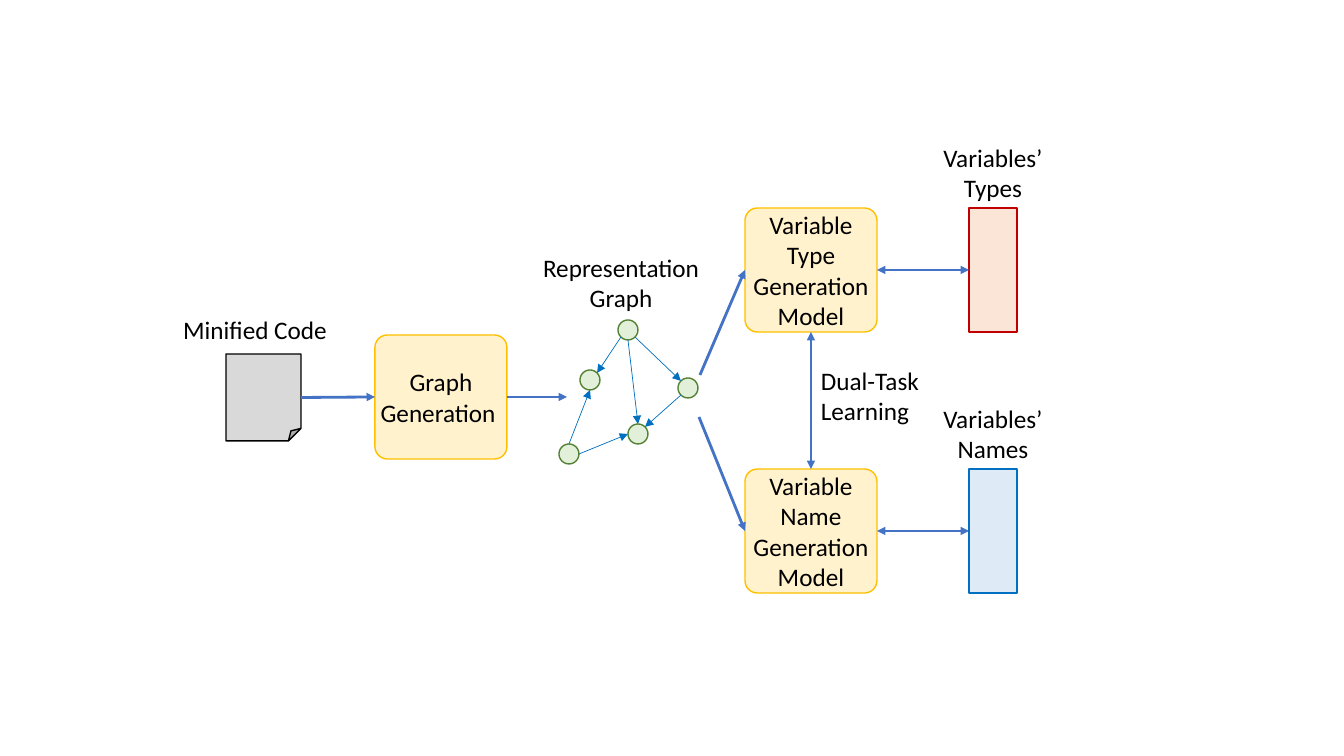
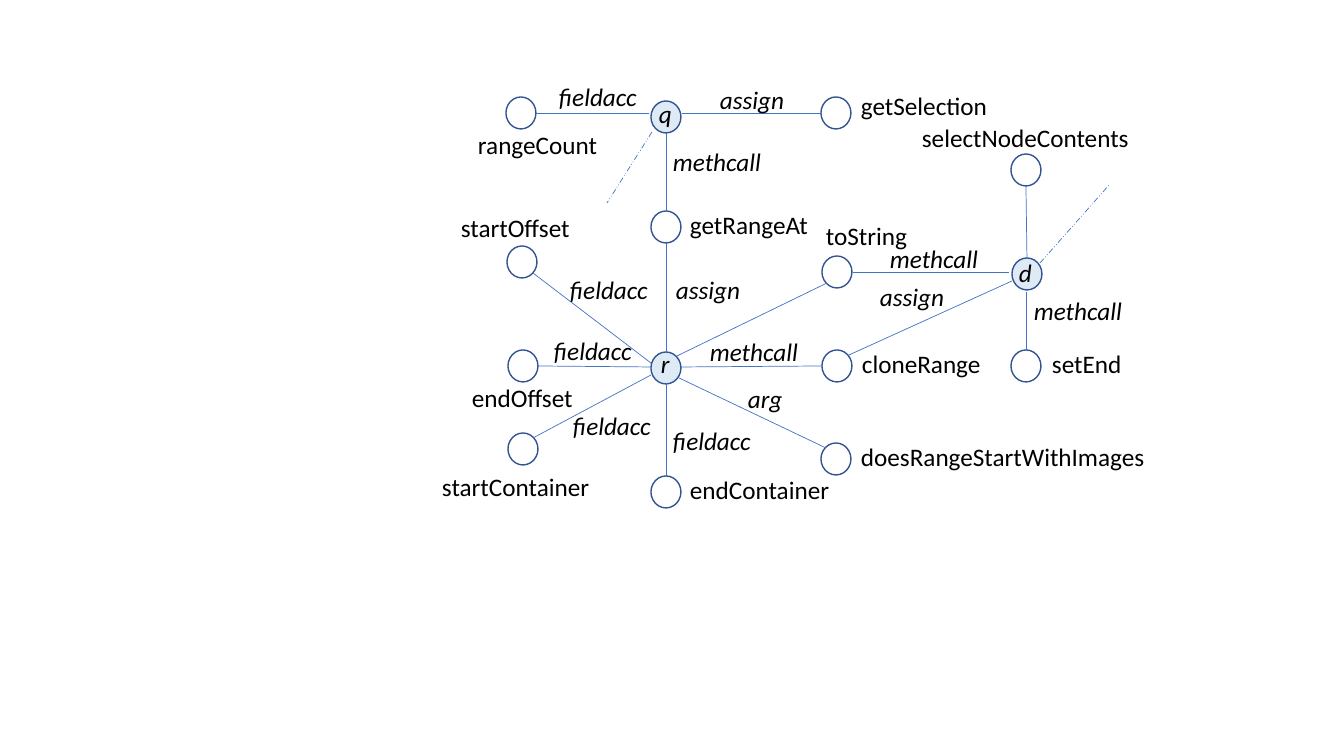
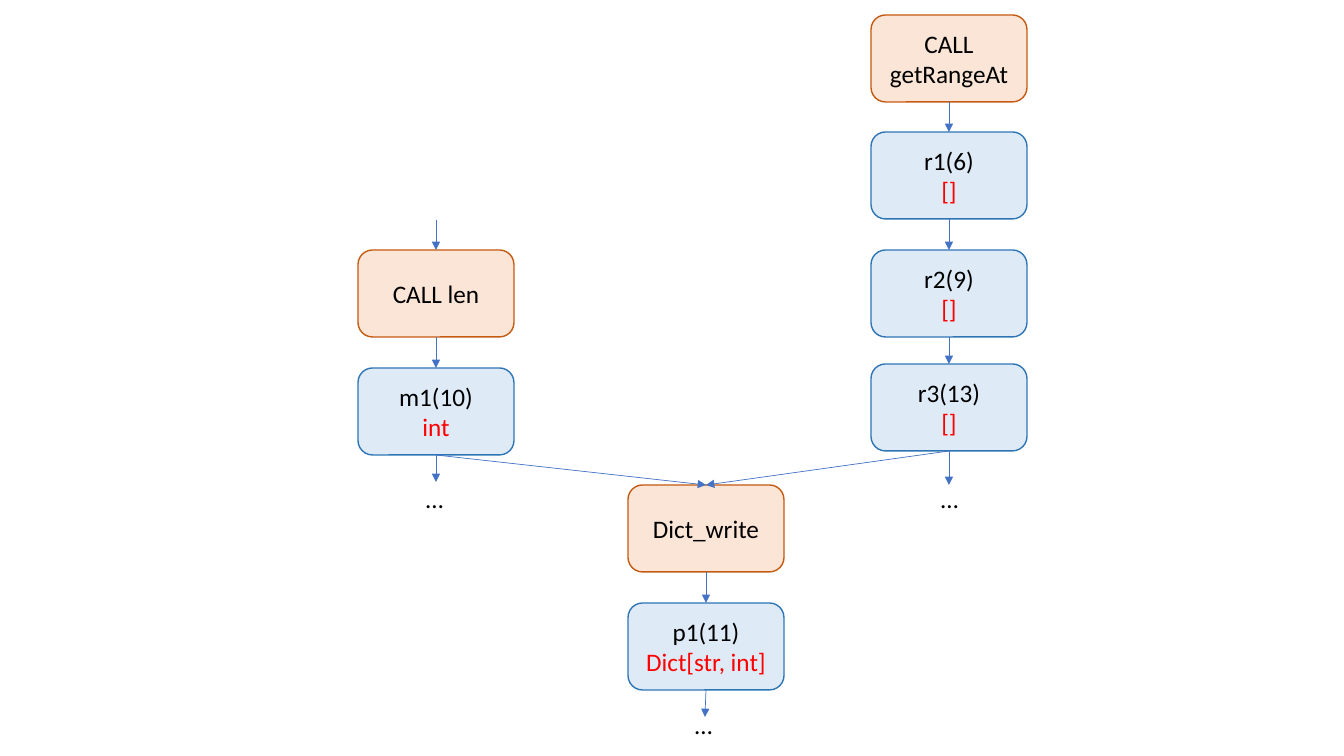
from dataclasses import dataclass
from math import cos, radians, sin
from typing import NamedTuple

from pptx import Presentation
from pptx.dml.color import RGBColor
from pptx.enum.dml import MSO_LINE_DASH_STYLE as Dash
from pptx.enum.shapes import MSO_CONNECTOR, MSO_SHAPE as Preset
from pptx.enum.text import MSO_ANCHOR, MSO_AUTO_SIZE, PP_ALIGN
from pptx.oxml.ns import qn
from pptx.shapes.autoshape import Shape
from pptx.shapes.shapetree import _BaseGroupShapes as Shapes
from pptx.text.text import TextFrame
from pptx.util import Emu, Pt
from lxml.etree import SubElement

EMU_PER_PIXEL = 914400 / 100.8
TOP, LEFT, BOTTOM, RIGHT = range(4)


@dataclass(frozen=True)
class Theme:
    font: str = "Calibri"
    text_size: float = 18
    outline_width: float = 1
    text: str = "000000"
    detail: str = "FF0000"
    connector: str = "4472C4"
    graph_edge: str = "0070C0"


@dataclass(frozen=True)
class Look:
    fill: str | None
    outline: str


@dataclass(frozen=True)
class Pen:
    color: str
    width: float
    head: bool = False
    tail: bool = False
    dash: Dash | None = None


THEME = Theme()
CODE = Look("D9D9D9", "000000")
STEP = Look("FFF2CC", "FFC000")
GRAPH_NODE = Look("E2F0D9", "548235")
TYPES = Look("FBE5D6", "C00000")
NAMES = Look("DEEBF7", "0070C0")
VARIABLE = Look("DEEBF7", "325491")
MEMBER = Look(None, "325491")
OPERATION = Look("FBE5D6", "C55A11")
VALUE = Look("DEEBF7", "2E75B6")

FLOW = Pen(THEME.connector, 2, tail=True)
EXCHANGE = Pen(THEME.connector, 1.5, head=True, tail=True)
GRAPH_ARROW = Pen(THEME.graph_edge, 0.5, tail=True)
RELATION = Pen(THEME.connector, 0.5)
OPEN_RELATION = Pen(THEME.connector, 0.5, dash=Dash.DASH_DOT_DOT)
DEPENDENCY = Pen(THEME.connector, 0.5, tail=True)


class Point(NamedTuple):
    x: float
    y: float


class Frame(NamedTuple):
    left: float
    top: float
    width: float
    height: float


class Site(NamedTuple):
    shape: Shape
    side: int


class Label(NamedTuple):
    text: str
    left: int
    top: int
    width: int


class Member(NamedTuple):
    left: int
    top: int
    label: Label
    look: Look = MEMBER


class Relation(NamedTuple):
    start: Point
    end: Point
    label: Label | None = None


class GraphEdge(NamedTuple):
    source: str
    source_angle: int
    target: str
    target_angle: int


class Block(NamedTuple):
    text: str
    left: int
    top: int
    look: Look


def px(value: float) -> Emu:
    return Emu(round(value * EMU_PER_PIXEL))


def write(frame: TextFrame, text: str, align: PP_ALIGN, italic: bool = False) -> None:
    frame.text = text
    for index, paragraph in enumerate(frame.paragraphs):
        paragraph.alignment = align
        for run in paragraph.runs:
            run.font.name = THEME.font
            run.font.size = Pt(THEME.text_size)
            run.font.italic = italic
            run.font.color.rgb = RGBColor.from_string(THEME.text)


def draw_shape(shapes: Shapes, preset: Preset, frame: Frame, look: Look, text: str = "") -> Shape:
    shape = shapes.add_shape(preset, *map(px, frame))
    shape.shadow.inherit = False
    if look.fill:
        shape.fill.solid()
        shape.fill.fore_color.rgb = RGBColor.from_string(look.fill)
    else:
        shape.fill.background()
    shape.line.color.rgb = RGBColor.from_string(look.outline)
    shape.line.width = Pt(THEME.outline_width)
    if text:
        shape.text_frame.vertical_anchor = MSO_ANCHOR.MIDDLE
        write(shape.text_frame, text, PP_ALIGN.CENTER)
    return shape


def draw_label(shapes: Shapes, label: Label, italic: bool = False, wrap: bool = False, height: int = 40) -> None:
    box = shapes.add_textbox(px(label.left), px(label.top), px(label.width), px(height))
    frame = box.text_frame
    frame.word_wrap = wrap
    frame.auto_size = MSO_AUTO_SIZE.SHAPE_TO_FIT_TEXT
    write(frame, label.text, PP_ALIGN.CENTER if wrap else PP_ALIGN.LEFT, italic)


def draw_line(shapes: Shapes, start: Point | Site, end: Point | Site, pen: Pen) -> None:
    begin_x, begin_y = map(px, start) if isinstance(start, Point) else (0, 0)
    end_x, end_y = map(px, end) if isinstance(end, Point) else (0, 0)
    connector = shapes.add_connector(MSO_CONNECTOR.STRAIGHT, begin_x, begin_y, end_x, end_y)
    if isinstance(start, Site):
        connector.begin_connect(*start)
    if isinstance(end, Site):
        connector.end_connect(*end)
    connector.line.color.rgb = RGBColor.from_string(pen.color)
    connector.line.width = Pt(pen.width)
    if pen.dash:
        connector.line.dash_style = pen.dash
    properties = connector.element.spPr
    outline = properties.find(qn("a:ln"))
    for tag, shown in (("a:headEnd", pen.head), ("a:tailEnd", pen.tail)):
        if shown:
            SubElement(outline, qn(tag), type="triangle")
    SubElement(properties, qn("a:effectLst"))


def draw_step(shapes: Shapes, text: str, left: int, top: int) -> Shape:
    step = draw_shape(shapes, Preset.ROUNDED_RECTANGLE, Frame(left, top, 132, 124), STEP, text)
    step.adjustments[0] = 0.1
    frame = step.text_frame
    frame.margin_left = frame.margin_top = frame.margin_right = frame.margin_bottom = 0
    return step


def draw_representation_graph(shapes: Shapes) -> None:
    radius = 10
    centers = {
        "top": Point(628, 330),
        "left": Point(590, 380),
        "bottom": Point(638, 434),
        "right": Point(688, 388),
        "corner": Point(569, 454),
    }
    edges = (
        GraphEdge("top", 135, "left", -45),
        GraphEdge("top", 90, "bottom", -90),
        GraphEdge("top", 45, "right", -135),
        GraphEdge("right", 135, "bottom", -45),
        GraphEdge("corner", 0, "bottom", 180),
        GraphEdge("corner", -90, "left", 90),
    )

    def rim(name: str, angle: int) -> Point:
        center = centers[name]
        return Point(center.x + radius * cos(radians(angle)), center.y + radius * sin(radians(angle)))

    group = shapes.add_group_shape().shapes
    for x, y in centers.values():
        draw_shape(group, Preset.OVAL, Frame(x - radius, y - radius, 2 * radius, 2 * radius), GRAPH_NODE)
    for edge in edges:
        draw_line(group, rim(edge.source, edge.source_angle), rim(edge.target, edge.target_angle), GRAPH_ARROW)


def build_pipeline(shapes: Shapes) -> None:
    type_top, name_top = 208, 469
    code = draw_shape(shapes, Preset.FOLDED_CORNER, Frame(226, 354, 75, 87), CODE)
    draw_label(shapes, Label("Minified Code", 166, 309, 178), wrap=True)
    generation = draw_step(shapes, "Graph\nGeneration ", 375, 335)
    draw_representation_graph(shapes)
    draw_label(shapes, Label("Representation Graph", 532, 247, 178), wrap=True, height=71)
    draw_line(shapes, Site(code, RIGHT), Site(generation, LEFT), FLOW)
    draw_line(shapes, Site(generation, RIGHT), Point(567, 397), FLOW)

    models = []
    for kind, result, top, look, origin in (
        ("Type", "Types", type_top, TYPES, Point(700, 375)),
        ("Name", "Names", name_top, NAMES, Point(699, 417)),
    ):
        model = draw_step(shapes, f"Variable {kind} Generation\nModel", 745, top)
        output = draw_shape(shapes, Preset.RECTANGLE, Frame(969, top, 48, 124), look)
        draw_label(shapes, Label(f"Variables’ {result}", 904, top - 71, 178), wrap=True, height=71)
        draw_line(shapes, origin, Site(model, LEFT), FLOW)
        draw_line(shapes, Site(model, RIGHT), Site(output, LEFT), EXCHANGE)
        models.append(model)

    type_model, name_model = models
    draw_line(shapes, Site(type_model, BOTTOM), Site(name_model, TOP), EXCHANGE)
    draw_label(shapes, Label("Dual-Task\nLearning", 811, 360, 119), height=71)


def build_variable_graph(shapes: Shapes) -> None:
    members = (
        Member(651, 101, Label("q", 649, 93, 33), VARIABLE),
        Member(651, 352, Label("r", 651, 343, 29), VARIABLE),
        Member(1012, 258, Label("d", 1009, 252, 33), VARIABLE),
        Member(651, 211, Label("getRangeAt", 680, 204, 141)),
        Member(822, 350, Label("cloneRange", 852, 343, 140)),
        Member(822, 256, Label("toString", 816, 215, 102)),
        Member(821, 443, Label("doesRangeStartWithImages", 851, 436, 306)),
        Member(651, 476, Label("endContainer", 680, 469, 161)),
        Member(508, 433, Label("startContainer", 432, 466, 169)),
        Member(508, 350, Label("endOffset", 462, 377, 123)),
        Member(507, 246, Label("startOffset", 451, 207, 130)),
        Member(821, 97, Label("getSelection", 851, 85, 148)),
        Member(506, 97, Label("rangeCount", 468, 124, 141)),
        Member(1011, 154, Label("selectNodeContents", 912, 117, 230)),
        Member(1011, 350, Label("setEnd", 1042, 343, 91)),
    )
    relations = (
        Relation(Point(666, 243), Point(666, 352), Label("assign", 666, 269, 86)),
        Relation(Point(681, 367), Point(822, 366), Label("methcall", 700, 331, 109)),
        Relation(Point(677, 356), Point(827, 283)),
        Relation(Point(677, 377), Point(826, 448), Label("arg", 738, 378, 55)),
        Relation(Point(651, 363), Point(533, 273), Label("fieldacc", 560, 269, 99)),
        Relation(Point(651, 367), Point(538, 366), Label("fieldacc", 544, 330, 99)),
        Relation(Point(651, 375), Point(533, 438), Label("fieldacc", 563, 405, 99)),
        Relation(Point(666, 383), Point(666, 476), Label("fieldacc", 663, 420, 99)),
        Relation(Point(666, 133), Point(666, 211), Label("methcall", 663, 141, 109)),
        Relation(Point(682, 113), Point(821, 113), Label("assign", 710, 79, 86)),
        Relation(Point(649, 113), Point(536, 113), Label("fieldacc", 549, 76, 99)),
        Relation(Point(849, 355), Point(1012, 281), Label("assign", 870, 276, 86)),
        Relation(Point(1009, 272), Point(853, 272), Label("methcall", 880, 238, 109)),
        Relation(Point(1026, 186), Point(1027, 258)),
        Relation(Point(1026, 292), Point(1026, 350), Label("methcall", 1024, 290, 109)),
    )
    open_relations = (
        Relation(Point(1040, 263), Point(1110, 184)),
        Relation(Point(652, 132), Point(607, 203)),
    )
    for member in members:
        draw_shape(shapes, Preset.OVAL, Frame(member.left, member.top, 30, 32), member.look)
        draw_label(shapes, member.label, italic=member.look is VARIABLE)
    for relation in relations:
        draw_line(shapes, relation.start, relation.end, RELATION)
        if relation.label:
            draw_label(shapes, relation.label, italic=True)
    for relation in open_relations:
        draw_line(shapes, relation.start, relation.end, OPEN_RELATION)


def build_dependencies(shapes: Shapes) -> None:
    length_left, dict_left, range_left = 358, 628, 871
    blocks = {
        "write": Block("Dict_write", dict_left, 485, OPERATION),
        "p1": Block("p1(11)\nDict[str, int]", dict_left, 603, VALUE),
        "len": Block("CALL len", length_left, 250, OPERATION),
        "m1": Block("m1(10)\nint", length_left, 368, VALUE),
        "range": Block("CALL getRangeAt", range_left, 15, OPERATION),
        "r1": Block("r1(6)\n[]", range_left, 132, VALUE),
        "r2": Block("r2(9)\n[]", range_left, 250, VALUE),
        "r3": Block("r3(13)\n[]", range_left, 364, VALUE),
    }
    links = (
        ("len", "m1"), ("range", "r1"), ("r1", "r2"), ("r2", "r3"),
        ("r3", "write"), ("m1", "write"), ("write", "p1"),
    )
    exits = (("m1", Point(436, 482)), ("r3", Point(949, 485)), ("p1", Point(705, 717)))
    drawn = {}
    for name, block in blocks.items():
        frame = Frame(block.left, block.top, 156, 87)
        shape = draw_shape(shapes, Preset.ROUNDED_RECTANGLE, frame, block.look, block.text)
        for paragraph in shape.text_frame.paragraphs[1:]:
            for run in paragraph.runs:
                run.font.color.rgb = RGBColor.from_string(THEME.detail)
        drawn[name] = shape
    draw_line(shapes, Point(436, 220), Site(drawn["len"], TOP), DEPENDENCY)
    for source, target in links:
        draw_line(shapes, Site(drawn[source], BOTTOM), Site(drawn[target], TOP), DEPENDENCY)
    for source, end in exits:
        draw_line(shapes, Site(drawn[source], BOTTOM), end, DEPENDENCY)
    for left, top in ((416, 478), (931, 478), (685, 704)):
        draw_label(shapes, Label("…", left, top, 38))


def main() -> None:
    presentation = Presentation()
    presentation.slide_width, presentation.slide_height = px(1344), px(756)
    blank = presentation.slide_layouts[6]
    for build in (build_pipeline, build_variable_graph, build_dependencies):
        build(presentation.slides.add_slide(blank).shapes)
    presentation.save("out.pptx")


main()
